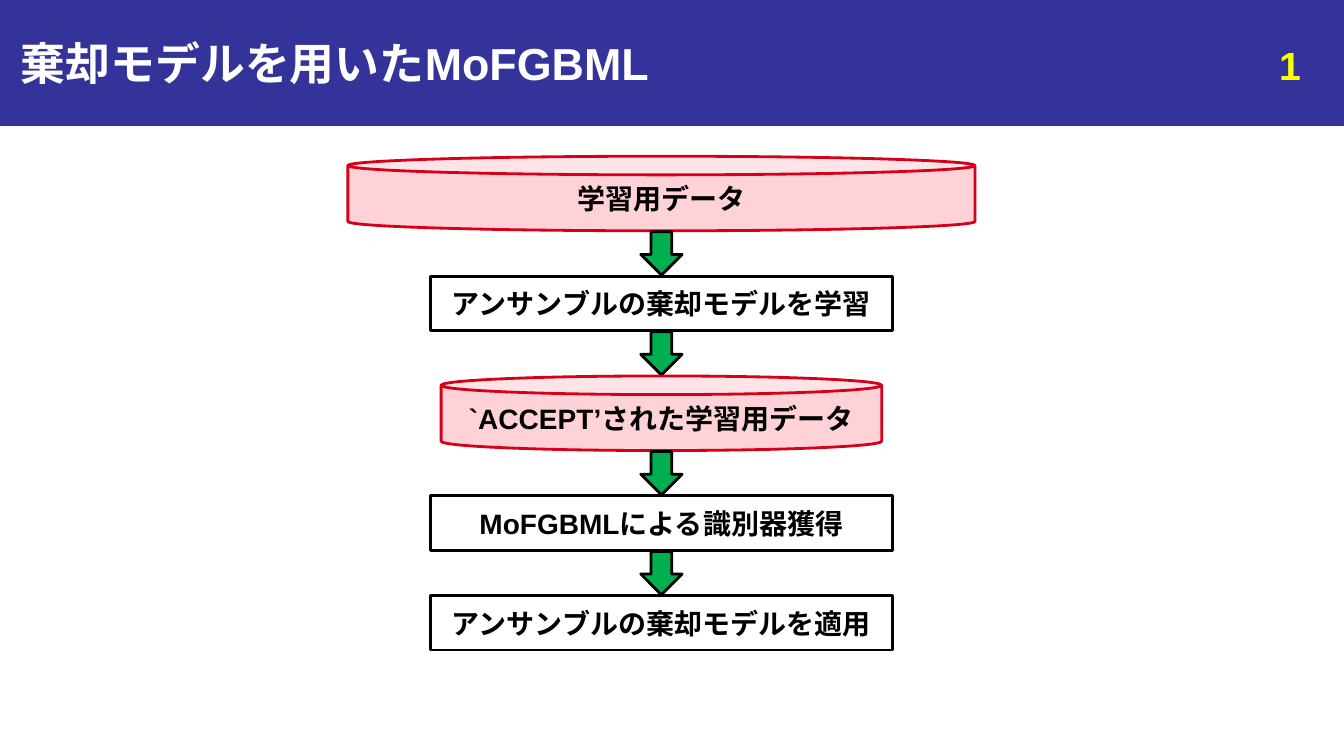
"""Build the slide showing the flow of MoFGBML with a reject model."""
from lxml import etree
from pptx import Presentation
from pptx import util as u
from pptx.dml.color import RGBColor
from pptx.enum import lang, shapes, text
from pptx.oxml.ns import qn

COLORS = {"band": "333399", "white": "FFFFFF", "number": "FFFF00", "ink": "000000",
          "data_fill": "FFD2D7", "data_line": "D50019", "arrow": "00B050"}
COLUMNS, ROWS = 133.3, 75
FONT = "Arial"


def write(shape, words, size=20, color="ink", align="CENTER", anchor="MIDDLE", inset=0):
    """Put one formatted paragraph into a shape."""
    frame = shape.text_frame
    frame.word_wrap = True
    frame.vertical_anchor = text.MSO_ANCHOR[anchor]
    frame.margin_left = frame.margin_right = u.Inches(inset)
    para = frame.paragraphs[0]
    para.alignment = text.PP_ALIGN[align]
    span = para.add_run()
    span.text = words
    font = span.font
    font.name, font.size, font.bold = FONT, u.Pt(size), True
    font.language_id = lang.MSO_LANGUAGE_ID.JAPANESE
    font.color.rgb = RGBColor.from_string(COLORS[color])
    etree.SubElement(span._r.get_or_add_rPr(), qn("a:ea"), typeface=FONT)


class Painter:
    """Hold the grid, the style and the current slide."""

    def __init__(self, deck):
        """Add a blank page and measure its grid."""
        self.page = deck.slides.add_slide(deck.slide_layouts[6])
        self.column = deck.slide_width / COLUMNS
        self.row = deck.slide_height / ROWS

    def place(self, left, top, width, height):
        """Turn grid cells into slide lengths."""
        return (round(left * self.column), round(top * self.row),
                round(width * self.column), round(height * self.row))

    def shape(self, kind, cells, fill, line, weight=2):
        """Draw a preset shape."""
        shape = self.page.shapes.add_shape(shapes.MSO_SHAPE[kind], *self.place(*cells))
        shape.shadow.inherit = False
        shape.fill.solid()
        shape.fill.fore_color.rgb = RGBColor.from_string(COLORS[fill])
        shape.line.color.rgb = RGBColor.from_string(COLORS[line])
        shape.line.width = u.Pt(weight)
        return shape

    def label(self, cells, words, **style):
        """Draw a text box."""
        box = self.page.shapes.add_textbox(*self.place(*cells))
        write(box, words, inset=0.1, **style)

    def data(self, cells, words):
        """Draw a data store."""
        write(self.shape("CAN", cells, "data_fill", "data_line"), words)

    def process(self, cells, words):
        """Draw a processing step."""
        write(self.shape("RECTANGLE", cells, "white", "ink"), words)

    def arrow(self, center, top):
        """Draw a block arrow pointing down to the next step."""
        self.shape("DOWN_ARROW", (center - 2.05, top, 4.1, 4.3), "arrow", "ink")


def main():
    """Lay out the header and the flow, then save."""
    deck = Presentation()
    deck.slide_width, deck.slide_height = u.Inches(13.33), u.Inches(7.5)
    painter = Painter(deck)

    painter.shape("RECTANGLE", (0, 0, COLUMNS, 12.5), "band", "band", 0.75)
    painter.label((1.1, 0, 132.2, 12.5), "棄却モデルを用いたMoFGBML",
                  size=32, color="white", align="LEFT")
    painter.label((98.9, 3.6, 31.1, 5.2), "1",
                  size=28, color="number", align="RIGHT", anchor="TOP")

    steps = [
        (painter.data, 62.2, 7.4, "学習用データ"),
        (painter.process, 45.8, 5.4, "アンサンブルの棄却モデルを学習"),
        (painter.data, 43.7, 7.4, "`ACCEPT’された学習用データ"),
        (painter.process, 45.8, 5.4, "MoFGBMLによる識別器獲得"),
        (painter.process, 45.8, 5.4, "アンサンブルの棄却モデルを適用"),
    ]
    center, top, gap = 65.6, 15.5, 4.5
    for index, (draw, width, height, words) in enumerate(steps):
        if index:
            painter.arrow(center, top - gap + 0.1)
        draw((center - width / 2, top, width, height), words)
        top += height + gap

    deck.save("out.pptx")


main()
